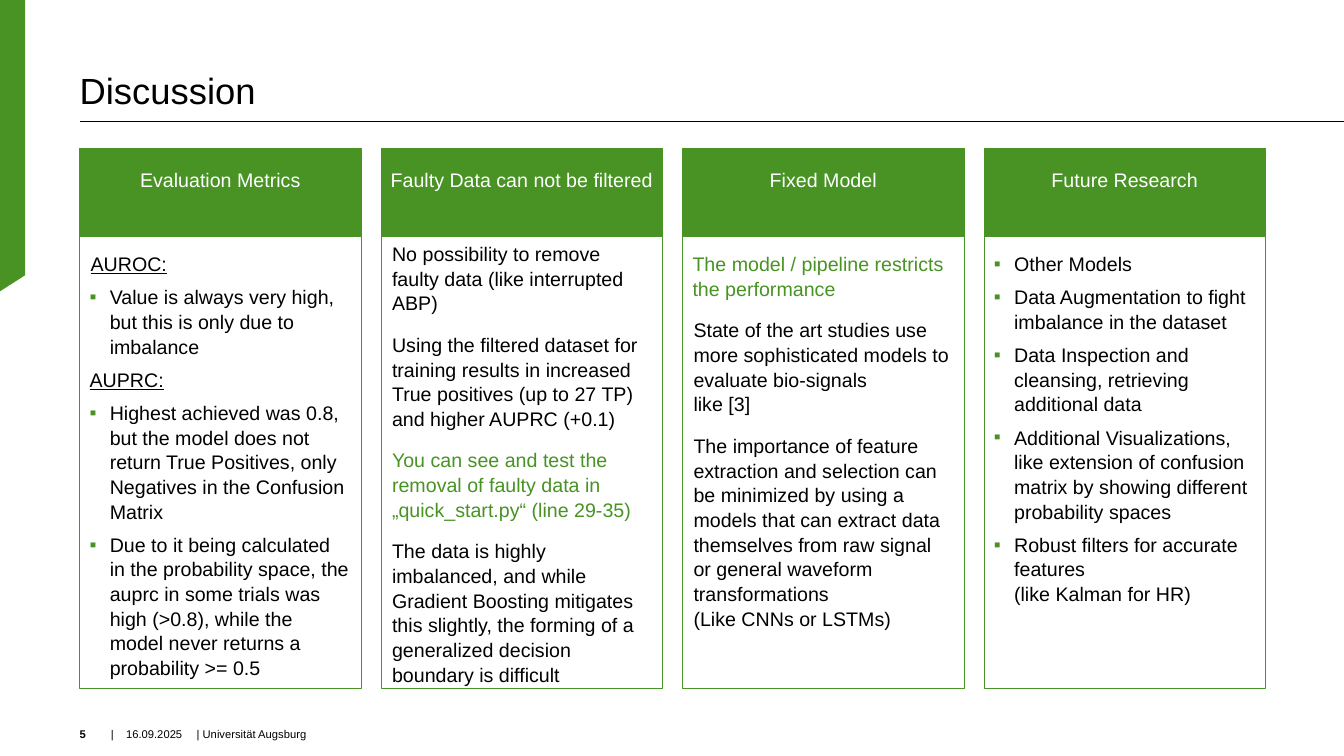
from dataclasses import dataclass

from lxml.etree import SubElement
from pptx import Presentation
from pptx.dml.color import RGBColor
from pptx.enum.shapes import MSO_CONNECTOR, MSO_SHAPE
from pptx.enum.text import MSO_ANCHOR, PP_ALIGN
from pptx.oxml.ns import qn
from pptx.util import Inches, Pt


@dataclass(frozen=True)
class Theme:
    font: str = "Arial"
    green: str = "489324"
    black: str = "000000"
    white: str = "FFFFFF"
    title: int = 26
    body: int = 14
    footer: int = 8
    outline: float = 0.5


THEME = Theme()


@dataclass(frozen=True)
class Item:
    text: str
    before: int = 12
    margin: float = 0.01
    bullet: bool = False
    underline: bool = False
    color: str = THEME.black


def bullet(text):
    return Item(text, before=6, margin=0.2, bullet=True)


COLUMNS = [
    ("Evaluation Metrics", 0, [
        Item("AUROC:", underline=True),
        bullet("Value is always very high, but this is only due to imbalance"),
        Item("AUPRC:", before=6, margin=0, underline=True),
        bullet("Highest achieved was 0.8, but the model does not return True Positives, "
               "only Negatives in the Confusion Matrix"),
        bullet("Due to it being calculated in the probability space, the auprc in some "
               "trials was high (>0.8), while the model never returns a \nprobability >= 0.5"),
    ]),
    ("Faulty Data can not be filtered", 0.1, [
        Item("No possibility to remove faulty data (like interrupted ABP)"),
        Item("Using the filtered dataset for training results in increased True positives "
             "(up to 27 TP) and higher AUPRC (+0.1)"),
        Item("You can see and test the removal of faulty data in „quick_start.py“ (line 29-35)",
             color=THEME.green),
        Item("The data is highly imbalanced, and while Gradient Boosting mitigates this "
             "slightly, the forming of a generalized decision boundary is difficult"),
    ]),
    ("Fixed Model", 0, [
        Item("The model / pipeline restricts the performance", margin=0, color=THEME.green),
        Item("State of the art studies use more sophisticated models to evaluate "
             "bio-signals \nlike [3]"),
        Item("The importance of feature extraction and selection can be minimized by using "
             "a models that can extract data themselves from raw signal or general waveform "
             "transformations \n(Like CNNs or LSTMs)"),
    ]),
    ("Future Research", 0, [
        bullet("Other Models"),
        bullet("Data Augmentation to fight imbalance in the dataset"),
        bullet("Data Inspection and cleansing, retrieving additional data"),
        bullet("Additional Visualizations, like extension of confusion matrix by showing "
               "different probability spaces"),
        bullet("Robust filters for accurate features \n(like Kalman for HR)"),
    ]),
]


def rgb(value):
    return RGBColor.from_string(value)


def set_frame(shape, anchor, insets=(0, 0, 0, 0)):
    frame = shape.text_frame
    frame.word_wrap = True
    frame.vertical_anchor = anchor
    frame.margin_left, frame.margin_top, frame.margin_right, frame.margin_bottom = map(Inches, insets)
    return frame


def add_text(para, text, size, color=THEME.black, bold=False, underline=False):
    for number, line in enumerate(text.split("\n")):
        if number:
            para.add_line_break()
        span = para.add_run()
        span.text = line
        font = span.font
        font.name, font.size, font.bold = THEME.font, Pt(size), bold
        font.underline = underline
        font.color.rgb = rgb(color)


def add_text_box(page, left, top, width, height):
    box = page.shapes.add_textbox(*map(Inches, (left, top, width, height)))
    return set_frame(box, MSO_ANCHOR.BOTTOM).paragraphs[0]


def add_panel(page, left, top, width, height, fill=None):
    panel = page.shapes.add_shape(MSO_SHAPE.RECTANGLE, *map(Inches, (left, top, width, height)))
    panel.shadow.inherit = False
    if fill:
        panel.fill.solid()
        panel.fill.fore_color.rgb = rgb(fill)
    else:
        panel.fill.background()
    panel.line.color.rgb = rgb(THEME.green)
    panel.line.width = Pt(THEME.outline)
    return panel


def add_item(para, item, first):
    props = para._p.get_or_add_pPr()
    props.set("marL", str(Inches(item.margin)))
    props.set("indent", str(Inches(-item.margin if item.bullet else 0)))
    if item.bullet:
        color = SubElement(props, qn("a:buClr"))
        SubElement(color, qn("a:srgbClr"), val=THEME.green)
        SubElement(props, qn("a:buFont"), typeface=THEME.font)
        SubElement(props, qn("a:buChar"), char="▪")
    para.alignment = PP_ALIGN.LEFT
    para.line_spacing = 1.05
    para.space_before = Pt(0 if first else item.before)
    add_text(para, item.text, THEME.body, item.color, underline=item.underline)


def add_column(page, left, top, width, height, heading, raised, items):
    # Green heading
    header = add_panel(page, left, top, width, 0.88, THEME.green)
    para = set_frame(header, MSO_ANCHOR.MIDDLE, (0.04, 0, 0.04, 0.26)).paragraphs[0]
    para.alignment = PP_ALIGN.CENTER
    add_text(para, heading, THEME.body, THEME.white)
    # Outlined body
    offset = 0.59 - raised
    body = add_panel(page, left, top + offset, width, height - offset)
    frame = set_frame(body, MSO_ANCHOR.TOP, (0.1, 0.43, 0.1, 0.1))
    for number, item in enumerate(items):
        para = frame.add_paragraph() if number else frame.paragraphs[0]
        add_item(para, item, first=number == 0)


def add_ribbon(page, left, top, width, height):
    right, slant = left + width, 0.16
    corners = [(right, top), (right, top + height - slant), (left, top + height)]
    builder = page.shapes.build_freeform(Inches(left), Inches(top))
    builder.add_line_segments([(Inches(x), Inches(y)) for x, y in corners])
    ribbon = builder.convert_to_shape()
    ribbon.shadow.inherit = False
    ribbon.fill.solid()
    ribbon.fill.fore_color.rgb = rgb(THEME.green)
    ribbon.line.fill.background()


def add_title(page, left, top, width, height, line_end):
    para = add_text_box(page, left, top, width, height)
    para.line_spacing = 0.9
    add_text(para, "Discussion", THEME.title)
    # Rule below the title
    rule_top = Inches(top + height + 0.09)
    rule = page.shapes.add_connector(
        MSO_CONNECTOR.STRAIGHT, Inches(left), rule_top, Inches(line_end), rule_top)
    rule.line.color.rgb = rgb(THEME.black)
    rule.line.width = Pt(THEME.outline)
    SubElement(rule._element.spPr, qn("a:effectLst"))


def add_footer(page, left, top, height):
    parts = [(0, 0.35, "5", True), (0.31, 0.85, "|\t16.09.2025", False),
             (1.16, 7.98, "| Universität Augsburg", False)]
    for offset, width, text, bold in parts:
        para = add_text_box(page, left + offset, top, width, height)
        if "\t" in text:
            tabs = SubElement(para._p.get_or_add_pPr(), qn("a:tabLst"))
            SubElement(tabs, qn("a:tab"), pos=str(Inches(0.15)), algn="l")
        add_text(para, text, THEME.footer, bold=bold)


def main():
    deck = Presentation()
    deck.slide_width, deck.slide_height = Inches(13.33), Inches(7.5)
    page = deck.slides.add_slide(deck.slide_layouts[6])
    left, width, gap = 0.79, 2.79, 0.2
    add_ribbon(page, 0, 0, 0.25, 2.89)
    add_title(page, left, 0, 11.76, 1.11, line_end=13.33)
    for number, (heading, raised, items) in enumerate(COLUMNS):
        add_column(page, left + number * (width + gap), 1.47, width, 5.36, heading, raised, items)
    add_footer(page, left, 7.11, 0.24)
    deck.save("out.pptx")


if __name__ == "__main__":
    main()
